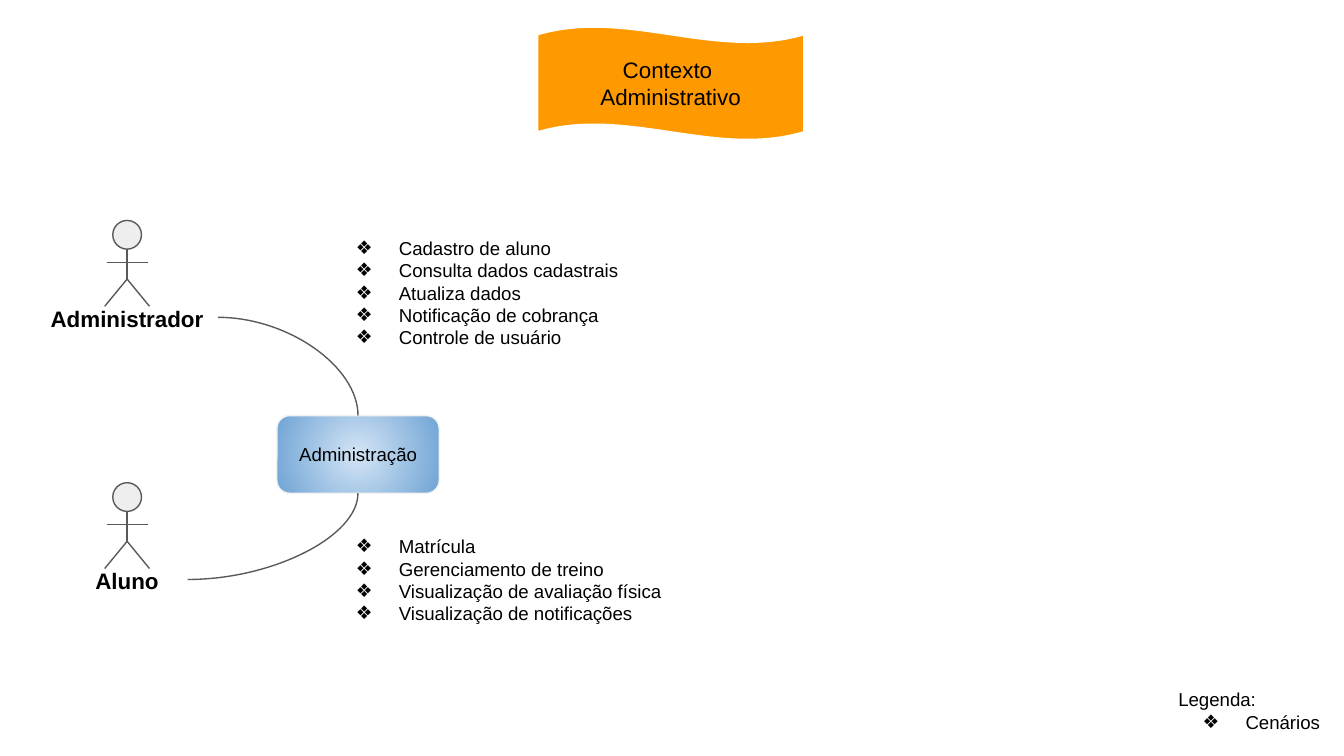
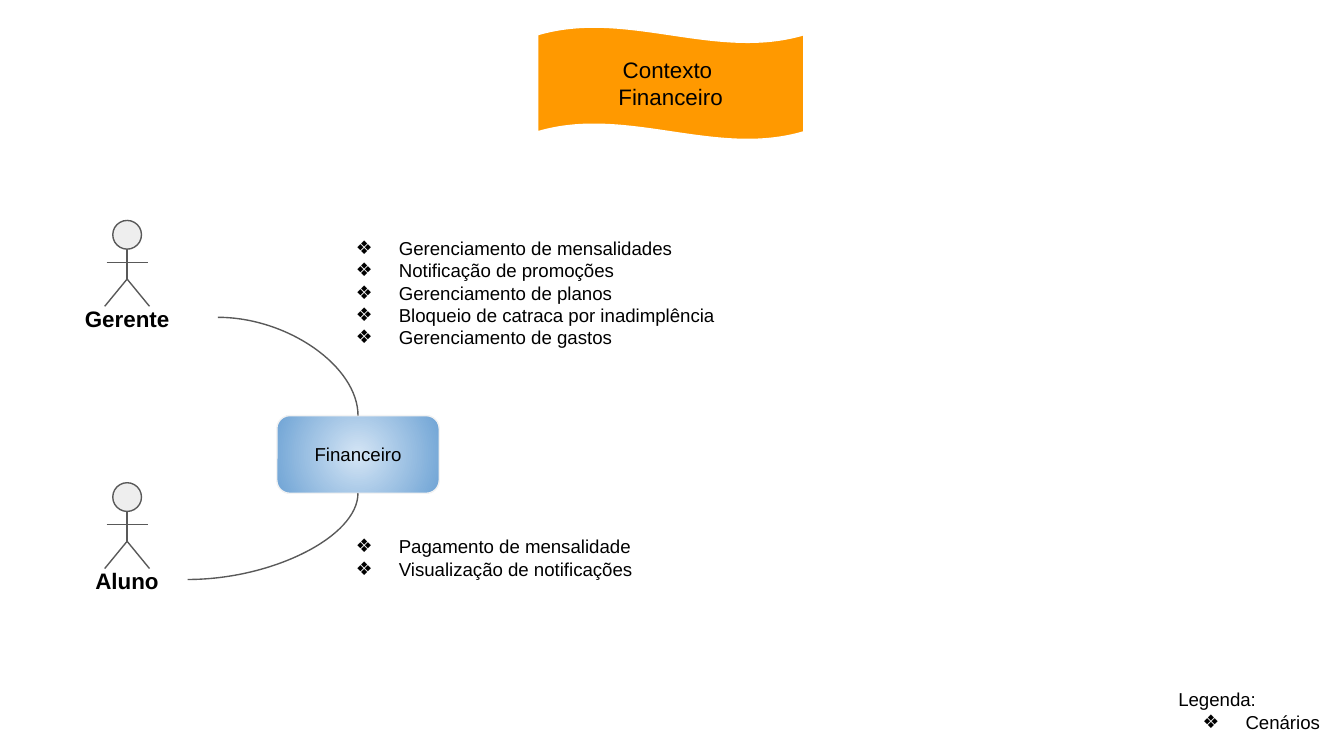
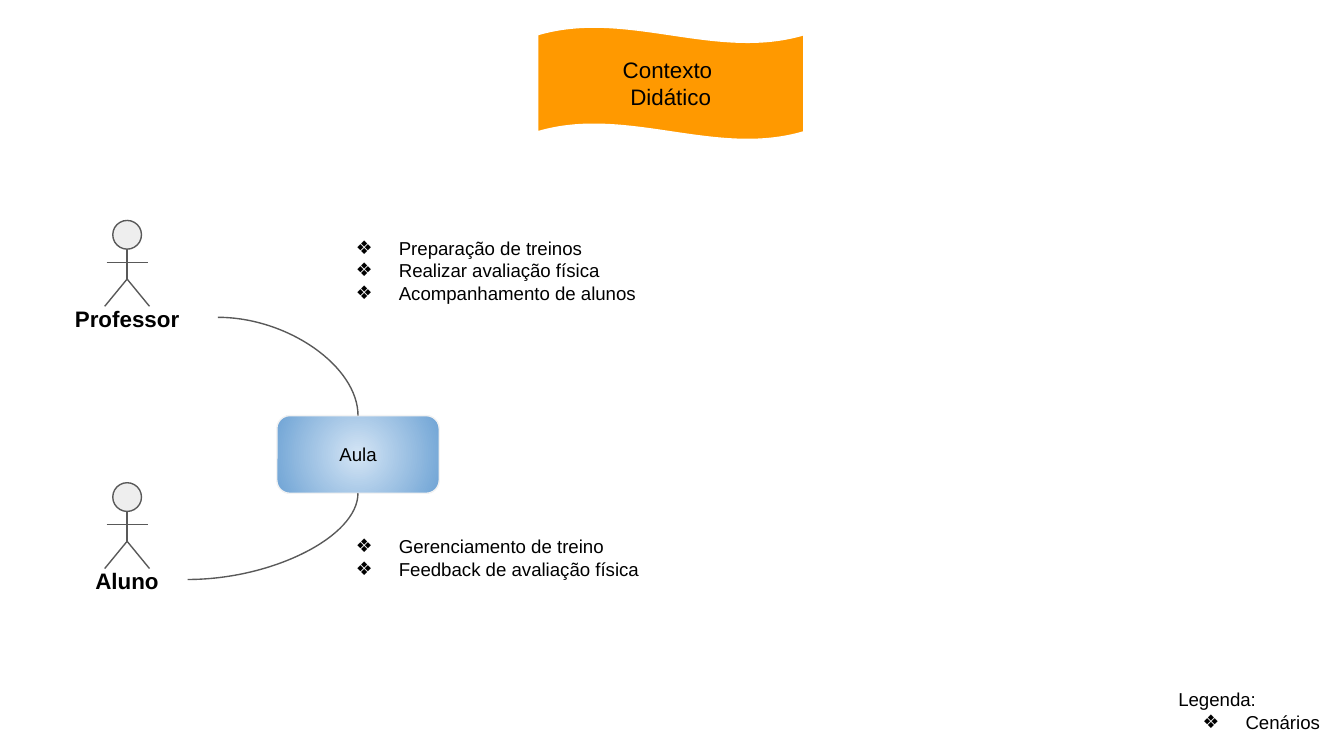
import lxml.etree
import pptx
import pptx.dml.color
import pptx.enum.shapes
import pptx.enum.text
import pptx.oxml.ns
import pptx.util

Pt = pptx.util.Pt
qn = pptx.oxml.ns.qn
SHAPE = pptx.enum.shapes.MSO_SHAPE
CONNECTOR = pptx.enum.shapes.MSO_CONNECTOR
ALIGN = pptx.enum.text.PP_ALIGN
ANCHOR = pptx.enum.text.MSO_ANCHOR

ORANGE, WHITE, BLACK = "FF9900", "FFFFFF", "000000"
LIGHT_BLUE, BLUE, PALE_GREY = "D4E5F5", "70A4D5", "F3F3F3"
HEAD_GREY, LINE_GREY = "EEEEEE", "595959"
LINE_WIDTH = Pt(0.75)
WAVE = (288, 14.4, 142.6, 60.5)
LIST_LEFT, LIST_WIDTH = 170.6, 239
ACTOR_X = 68.1
HEAD = 15.4

# Title, activity, then for each actor: name and scenarios
CONTEXTS = [
    ("Administrativo", "Administração", [
        ("Administrador", ["Cadastro de aluno", "Consulta dados cadastrais", "Atualiza dados",
                           "Notificação de cobrança", "Controle de usuário"]),
        ("Aluno", ["Matrícula", "Gerenciamento de treino", "Visualização de avaliação física",
                   "Visualização de notificações"])]),
    ("Financeiro", "Financeiro", [
        ("Gerente", ["Gerenciamento de mensalidades", "Notificação de promoções",
                     "Gerenciamento de planos", "Bloqueio de catraca por inadimplência",
                     "Gerenciamento de gastos"]),
        ("Aluno", ["Pagamento de mensalidade", "Visualização de notificações"])]),
    ("Didático", "Aula", [
        ("Professor", ["Preparação de treinos", "Realizar avaliação física",
                       "Acompanhamento de alunos"]),
        ("Aluno", ["Gerenciamento de treino", "Feedback de avaliação física"])]),
]
# Actor top, label width, list top, list height, side of the activity box it joins
ROWS = [(118.1, 97.2, 119.5, 72.7, 0), (258.6, 64.8, 279.4, 65.5, 2)]


def rgb(colour):
    return pptx.dml.color.RGBColor.from_string(colour)


def write(shape, lines, size, align=ALIGN.CENTER, anchor=ANCHOR.TOP, bold=False, bulleted=()):
    """Fill a shape with one paragraph per line; lines in bulleted get a diamond."""
    frame = shape.text_frame
    frame.word_wrap = True
    frame.auto_size = pptx.enum.text.MSO_AUTO_SIZE.NONE
    frame.vertical_anchor = anchor
    frame.margin_left = frame.margin_right = frame.margin_top = frame.margin_bottom = Pt(7.2)
    for index, line in enumerate(lines):
        para = frame.add_paragraph() if index else frame.paragraphs[0]
        para.alignment = align
        if line in bulleted:
            properties = para._p.get_or_add_pPr()
            properties.set("marL", str(Pt(36)))
            properties.set("indent", str(Pt(-23)))
            colour = lxml.etree.SubElement(properties, qn("a:buClr"))
            lxml.etree.SubElement(colour, qn("a:srgbClr"), val=BLACK)
            lxml.etree.SubElement(properties, qn("a:buFont"), typeface="Arial")
            lxml.etree.SubElement(properties, qn("a:buChar"), char="❖")
        span = para.add_run()
        span.text = line
        span.font.name = "Arial"
        span.font.size = Pt(size)
        span.font.bold = bold
        span.font.color.rgb = rgb(BLACK)


deck = pptx.Presentation()
deck.slide_width, deck.slide_height = Pt(720), Pt(405)

for title_word, activity, actors in CONTEXTS:
    slide = deck.slides.add_slide(deck.slide_layouts[5])
    connectors = []

    # Title on the orange wave
    wave = slide.shapes.add_shape(SHAPE.WAVE, *map(Pt, WAVE))
    wave.adjustments[0] = 0.07
    wave.shadow.inherit = False
    wave.fill.solid()
    wave.fill.fore_color.rgb = rgb(ORANGE)
    wave.line.color.rgb = rgb(WHITE)
    wave.line.width = LINE_WIDTH
    title = slide.shapes.title
    title.left, title.top, title.width, title.height = map(Pt, WAVE)
    write(title, ["Contexto ", title_word], 12, anchor=ANCHOR.MIDDLE)
    title._element.addprevious(wave._element)

    # Activity box with a radial gradient
    box = slide.shapes.add_shape(SHAPE.ROUNDED_RECTANGLE, Pt(148.3), Pt(222.7), Pt(87), Pt(41.6))
    box.shadow.inherit = False
    box.line.color.rgb = rgb(PALE_GREY)
    box.line.width = LINE_WIDTH
    box.fill.gradient()
    for stop, colour in zip(box.fill.gradient_stops, (LIGHT_BLUE, BLUE)):
        stop.color.rgb = rgb(colour)
    gradient = box._element.spPr.find(qn("a:gradFill"))
    gradient.remove(gradient.find(qn("a:lin")))
    circle = lxml.etree.SubElement(gradient, qn("a:path"), path="circle")
    lxml.etree.SubElement(circle, qn("a:fillToRect"), l="50000", t="50000", r="50000", b="50000")
    write(box, [activity], 10, anchor=ANCHOR.MIDDLE)

    for (name, scenarios), row in zip(actors, ROWS):
        actor_top, label_width, list_top, list_height, side = row

        # Stick figure with its name
        actor = slide.shapes.add_group_shape()
        head = actor.shapes.add_shape(SHAPE.FLOWCHART_CONNECTOR, Pt(ACTOR_X - HEAD / 2),
                                      Pt(actor_top), Pt(HEAD), Pt(HEAD))
        head.shadow.inherit = False
        head.fill.solid()
        head.fill.fore_color.rgb = rgb(HEAD_GREY)
        head.line.color.rgb = rgb(LINE_GREY)
        head.line.width = LINE_WIDTH
        limbs = [(0, HEAD, 0, 31.4), (-11, 22.4, 11, 22.4), (0, 31.4, -12, 46), (12, 46, 0, 31.4)]
        for x1, y1, x2, y2 in limbs:
            connectors.append(actor.shapes.add_connector(
                CONNECTOR.STRAIGHT, Pt(ACTOR_X + x1), Pt(actor_top + y1),
                Pt(ACTOR_X + x2), Pt(actor_top + y2)))
        label = actor.shapes.add_textbox(Pt(ACTOR_X - label_width / 2), Pt(actor_top + 38.3),
                                         Pt(label_width), Pt(27.2))
        write(label, [name], 12, bold=True)

        # Curve from the name to the activity
        curve = slide.shapes.add_connector(
            CONNECTOR.CURVE, label.left + label.width, label.top + label.height // 2,
            box.left + box.width // 2, box.top + (box.height if side == 2 else 0))
        curve._element.spPr.find(qn("a:prstGeom")).set("prst", "curvedConnector2")
        curve.begin_connect(label, 3)
        curve.end_connect(box, side)
        connectors.append(curve)

        scenario_list = slide.shapes.add_textbox(Pt(LIST_LEFT), Pt(list_top),
                                                 Pt(LIST_WIDTH), Pt(list_height))
        write(scenario_list, scenarios, 10, ALIGN.LEFT, bulleted=scenarios)

    for connector in connectors:
        connector.line.color.rgb = rgb(LINE_GREY)
        connector.line.width = LINE_WIDTH
        lxml.etree.SubElement(connector._element.spPr, qn("a:effectLst"))

    legend = slide.shapes.add_textbox(Pt(624.2), Pt(361.4), Pt(91.4), Pt(37.4))
    write(legend, ["Legenda:", "Cenários"], 10, ALIGN.LEFT, bulleted=["Cenários"])

deck.save("out.pptx")
